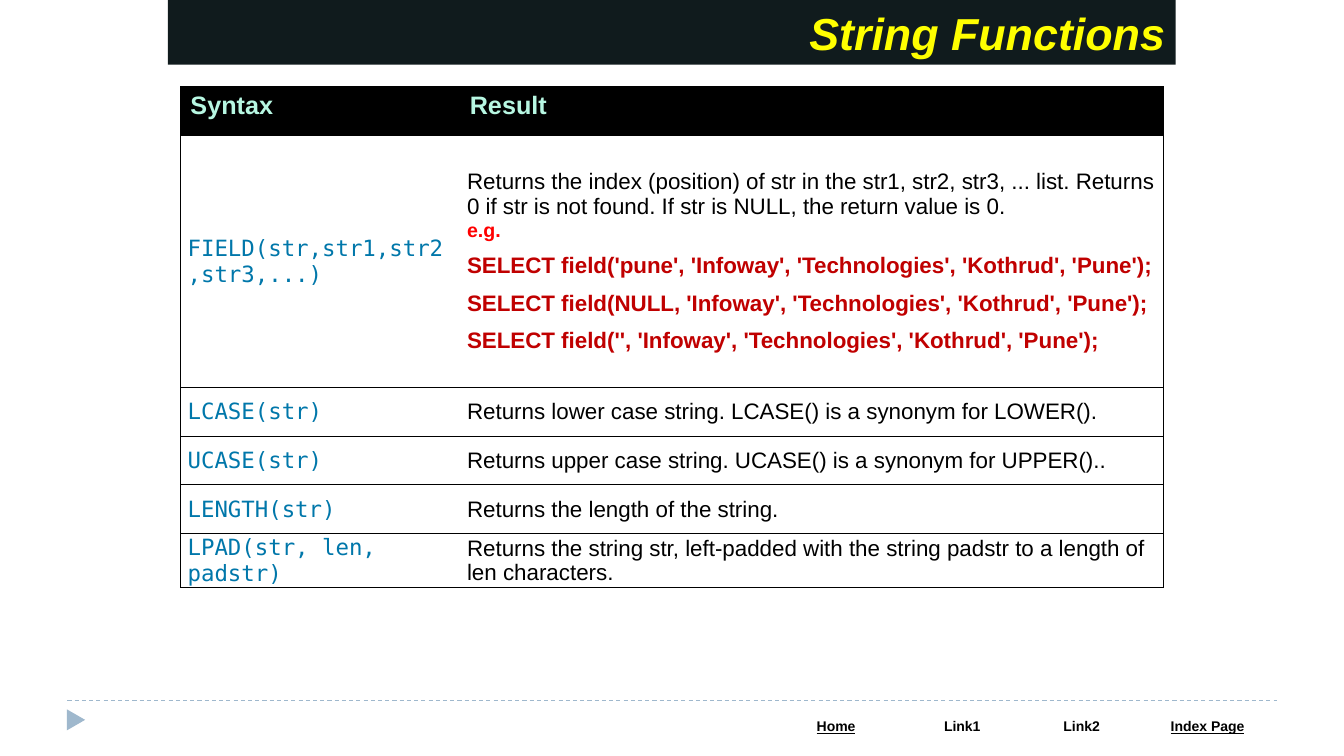
from dataclasses import dataclass

from lxml.etree import SubElement
from pptx import Presentation
from pptx.dml.color import RGBColor
from pptx.enum.dml import MSO_LINE_DASH_STYLE as Dash
from pptx.enum.shapes import MSO_CONNECTOR as Connector, MSO_SHAPE as Shape
from pptx.enum.text import MSO_ANCHOR as Anchor, MSO_AUTO_SIZE as AutoSize, PP_ALIGN as Align
from pptx.oxml import parse_xml
from pptx.oxml.ns import nsdecls, qn
from pptx.util import Cm, Pt

COLORS = {
    "white": "FFFFFF", "black": "000000", "banner": "101B1D", "title": "FFFF00",
    "heading": "B7F7E2", "syntax": "0077AA", "label": "FF0000", "query": "C00000",
    "footer": "9FB8CD",
}
SANS, MONO = "Arial", "DejaVu Sans Mono"


@dataclass(frozen=True)
class StringFunction:
    syntax: str
    result: str
    height: float = 1.23
    queries: tuple[str, ...] = ()


@dataclass(frozen=True)
class FooterLink:
    label: str
    width: float
    underline: bool = False


FUNCTIONS = [
    StringFunction(
        "FIELD(str,str1,str2,str3,...)",
        "Returns the index (position) of str in the str1, str2, str3, ... list. "
        "Returns 0 if str is not found. If str is NULL, the return value is 0.",
        6.35,
        (
            "SELECT field('pune', 'Infoway', 'Technologies', 'Kothrud', 'Pune');",
            "SELECT field(NULL, 'Infoway', 'Technologies', 'Kothrud', 'Pune');",
            "SELECT field('', 'Infoway', 'Technologies', 'Kothrud', 'Pune');",
        ),
    ),
    StringFunction("LCASE(str)", "Returns lower case string. LCASE() is a synonym for LOWER()."),
    StringFunction("UCASE(str)", "Returns upper case string. UCASE() is a synonym for UPPER().."),
    StringFunction("LENGTH(str)", "Returns the length of the string."),
    StringFunction(
        "LPAD(str, len, padstr)",
        "Returns the string str, left-padded with the string padstr to a length of len characters.",
        1.36,
    ),
]
LINKS = [
    FooterLink("Home", 3.18, True),
    FooterLink("Link1", 3.18),
    FooterLink("Link2", 2.84),
    FooterLink("Index Page", 3.5, True),
]


def rgb(name: str) -> RGBColor:
    return RGBColor.from_string(COLORS[name])


def write(frame, text: str, *, size: float = 16, color: str = "black", font: str = SANS,
          bold: bool = False, italic: bool = False, underline: bool = False,
          align=Align.LEFT, spacing: float = 1.0) -> None:
    """Fill the frame's first paragraph, or add one if it already has text."""
    paragraph = frame.add_paragraph() if frame.text else frame.paragraphs[0]
    paragraph.alignment = align
    paragraph.line_spacing = spacing
    run = paragraph.add_run()
    run.text = text
    run.font.name, run.font.size = font, Pt(size)
    run.font.bold, run.font.italic, run.font.underline = bold, italic, underline
    run.font.color.rgb = rgb(color)


def set_borders(cell, visible: str) -> None:
    """Draw the sides listed in visible (letters of LRTB) and hide the others."""
    properties = cell._tc.get_or_add_tcPr()
    for position, side in enumerate("LRTB"):
        paint = (f'<a:solidFill><a:srgbClr val="{COLORS["black"]}"/></a:solidFill>'
                 if side in visible else "<a:noFill/>")
        properties.insert(position, parse_xml(
            f'<a:ln{side} {nsdecls("a")} w="{Pt(0.75)}">{paint}</a:ln{side}>'))


def format_cell(cell, fill: str, borders: str, margins: tuple[float, float]) -> None:
    cell.fill.solid()
    cell.fill.fore_color.rgb = rgb(fill)
    cell.margin_left = cell.margin_right = Cm(margins[0])
    cell.margin_top = cell.margin_bottom = Cm(margins[1])
    set_borders(cell, borders)


def add_plain_table(slide, left: float, top: float, widths: list[float], heights: list[float]):
    table = slide.shapes.add_table(len(heights), len(widths), Cm(left), Cm(top),
                                   Cm(sum(widths)), Cm(sum(heights))).table
    table.first_row = table.horz_banding = False
    for column, width in zip(table.columns, widths):
        column.width = Cm(width)
    for row, height in zip(table.rows, heights):
        row.height = Cm(height)
    return table


def add_title(slide) -> None:
    title = slide.shapes.title
    title.left, title.top, title.width, title.height = Cm(4.23), Cm(0), Cm(25.4), Cm(1.63)
    title.fill.solid()
    title.fill.fore_color.rgb = rgb("banner")
    frame = title.text_frame
    frame.auto_size = AutoSize.NONE
    frame.vertical_anchor = Anchor.MIDDLE
    write(frame, "String Functions", size=32, color="title", bold=True, italic=True,
          align=Align.RIGHT)


def add_function_table(slide) -> None:
    heights = [1.23] + [function.height for function in FUNCTIONS]
    table = add_plain_table(slide, 4.55, 2.18, [7.04, 17.73], heights)
    for column, (heading, borders) in enumerate([("Syntax", "LTB"), ("Result", "RTB")]):
        header = table.cell(0, column)
        format_cell(header, "black", borders, (0.25, 0.13))
        write(header.text_frame, heading, size=18, color="heading", bold=True)
        for row in range(1, len(heights)):
            cell = table.cell(row, column)
            format_cell(cell, "white", borders, (0.18, 0))
            cell.vertical_anchor = Anchor.MIDDLE

    for row, function in enumerate(FUNCTIONS, 1):
        write(table.cell(row, 0).text_frame, function.syntax, color="syntax", font=MONO)
        result = table.cell(row, 1).text_frame
        write(result, function.result)
        if function.queries:
            write(result, "e.g.", size=14, color="label", bold=True)
        for query in function.queries:
            write(result, query, color="query", bold=True, spacing=1.5)


def add_footer(slide) -> None:
    rule = slide.shapes.add_connector(Connector.STRAIGHT, Cm(1.7), Cm(17.65), Cm(32.18), Cm(17.65))
    rule.line.color.rgb = rgb("footer")
    rule.line.width = Pt(0.75)
    rule.line.dash_style = Dash.DASH
    SubElement(rule._element.spPr, qn("a:effectLst"))

    marker = slide.shapes.add_shape(Shape.ISOSCELES_TRIANGLE, Cm(1.65), Cm(17.91), Cm(0.53), Cm(0.46))
    marker.rotation = 90
    marker.shadow.inherit = False
    marker.fill.solid()
    marker.fill.fore_color.rgb = rgb("footer")
    marker.line.fill.background()

    links = add_plain_table(slide, 19.48, 17.98, [link.width for link in LINKS], [0.69])
    for column, link in enumerate(LINKS):
        cell = links.cell(0, column)
        format_cell(cell, "white", "", (0.33, 0.13))
        write(cell.text_frame, link.label, size=10, bold=True, underline=link.underline,
              align=Align.CENTER)


def main() -> None:
    deck = Presentation()
    deck.slide_width, deck.slide_height = Cm(33.87), Cm(19.05)
    slide = deck.slides.add_slide(deck.slide_layouts[5])
    add_footer(slide)
    add_function_table(slide)
    add_title(slide)
    deck.save("out.pptx")


if __name__ == "__main__":
    main()
